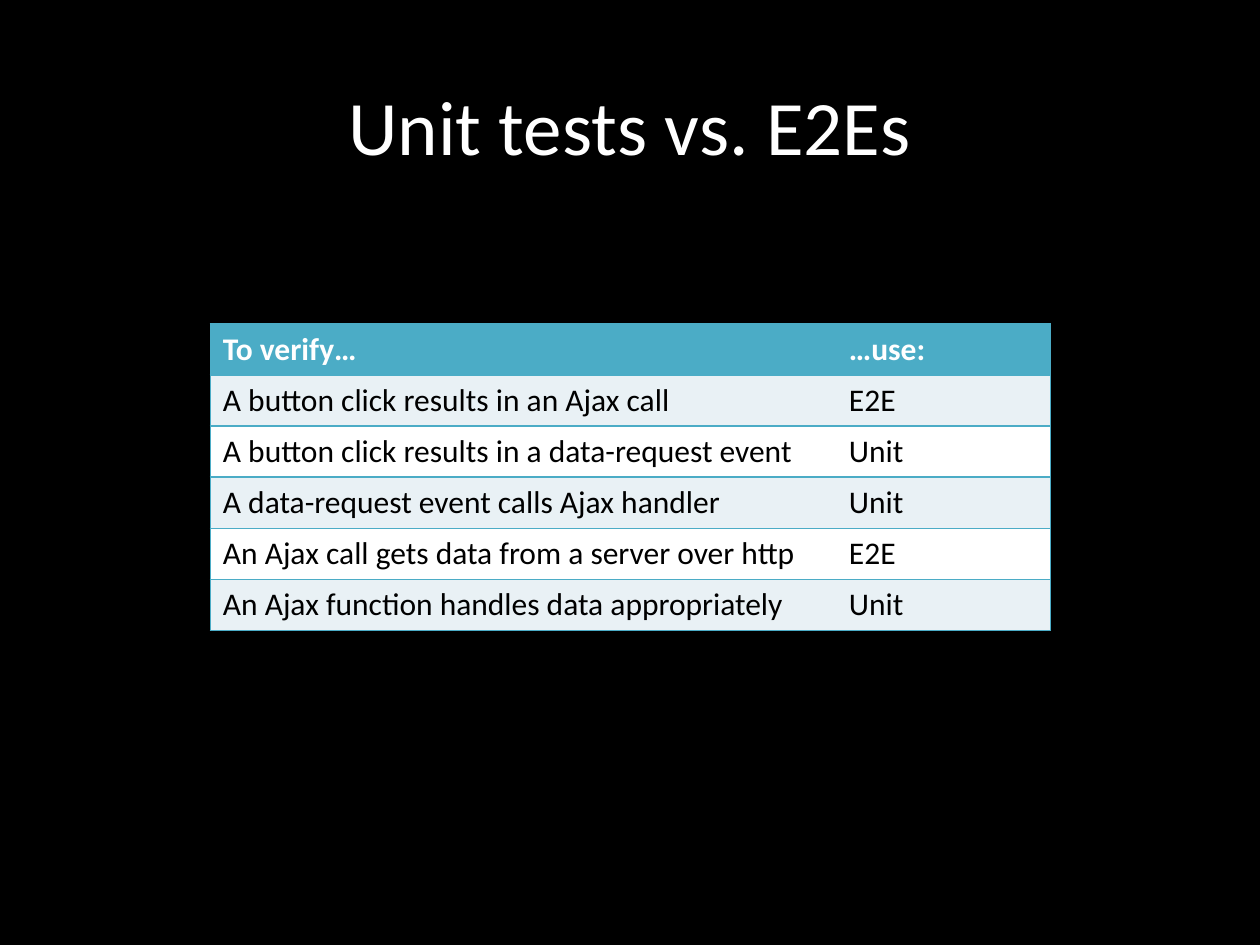
from dataclasses import dataclass

import lxml.etree
import pptx
import pptx.dml.color
import pptx.enum.text
import pptx.oxml.ns
import pptx.util

Cm = pptx.util.Cm
Pt = pptx.util.Pt

COLOURS = {
    "background": "000000",
    "title": "FFFFFF",
    "accent": "4BACC6",
    "band": "E9F1F5",
    "plain": "FFFFFF",
    "body": "000000",
}
FONT = "Calibri"
COLUMN_WIDTHS = (12.62, 4.32)
ROW_HEIGHT = 1.03


@dataclass(frozen=True)
class Check:
    goal: str
    test: str


CHECKS = [
    Check("To verify…", "…use:"),
    Check("A button click results in an Ajax call", "E2E"),
    Check("A button click results in a data-request event", "Unit"),
    Check("A data-request event calls Ajax handler", "Unit"),
    Check("An Ajax call gets data from a server over http", "E2E"),
    Check("An Ajax function handles data appropriately", "Unit"),
]


def colour(name: str) -> pptx.dml.color.RGBColor:
    return pptx.dml.color.RGBColor.from_string(COLOURS[name])


def set_font(paragraph, size: float, colour_name: str, bold: bool = False) -> None:
    paragraph.font.name = FONT
    paragraph.font.size = Pt(size)
    paragraph.font.bold = bold
    paragraph.font.color.rgb = colour(colour_name)


def set_borders(cell, visible_sides: str) -> None:
    qn = pptx.oxml.ns.qn
    properties = cell._tc.get_or_add_tcPr()
    for side in "LRTB":
        line = lxml.etree.SubElement(properties, qn(f"a:ln{side}"), w=str(Pt(1)))
        if side in visible_sides:
            fill = lxml.etree.SubElement(line, qn("a:solidFill"))
            lxml.etree.SubElement(fill, qn("a:srgbClr"), val=COLOURS["accent"])
        else:
            lxml.etree.SubElement(line, qn("a:noFill"))


def fill_cell(cell, text: str, row: int, outer_side: str) -> None:
    is_header = row == 0
    cell.text = text
    set_font(cell.text_frame.paragraphs[0], 18, "title" if is_header else "body", is_header)
    set_borders(cell, "TB" + outer_side)
    cell.fill.solid()
    fill_name = "accent" if is_header else "band" if row % 2 else "plain"
    cell.fill.fore_color.rgb = colour(fill_name)


def add_title(slide, text: str) -> None:
    title = slide.shapes.title
    title.left, title.top, title.width, title.height = Cm(1.9), Cm(0.46), Cm(21.59), Cm(4.09)
    title.text_frame.text = text
    title.text_frame.vertical_anchor = pptx.enum.text.MSO_ANCHOR.MIDDLE
    paragraph = title.text_frame.paragraphs[0]
    paragraph.alignment = pptx.enum.text.PP_ALIGN.CENTER
    set_font(paragraph, 44, "title")


def add_check_table(slide, checks: list[Check]) -> None:
    table = slide.shapes.add_table(
        len(checks), len(COLUMN_WIDTHS), Cm(4.24), Cm(6.53),
        Cm(sum(COLUMN_WIDTHS)), Cm(ROW_HEIGHT * len(checks)),
    ).table
    for column, width in zip(table.columns, COLUMN_WIDTHS):
        column.width = Cm(width)
    for row, check in enumerate(checks):
        table.rows[row].height = Cm(ROW_HEIGHT)
        fill_cell(table.cell(row, 0), check.goal, row, "L")
        fill_cell(table.cell(row, 1), check.test, row, "R")


presentation = pptx.Presentation()
presentation.slide_width, presentation.slide_height = Cm(25.4), Cm(19.05)
slide = presentation.slides.add_slide(presentation.slide_layouts[5])
slide.background.fill.solid()
slide.background.fill.fore_color.rgb = colour("background")
add_title(slide, "Unit tests vs. E2Es")
add_check_table(slide, CHECKS)
presentation.save("out.pptx")
